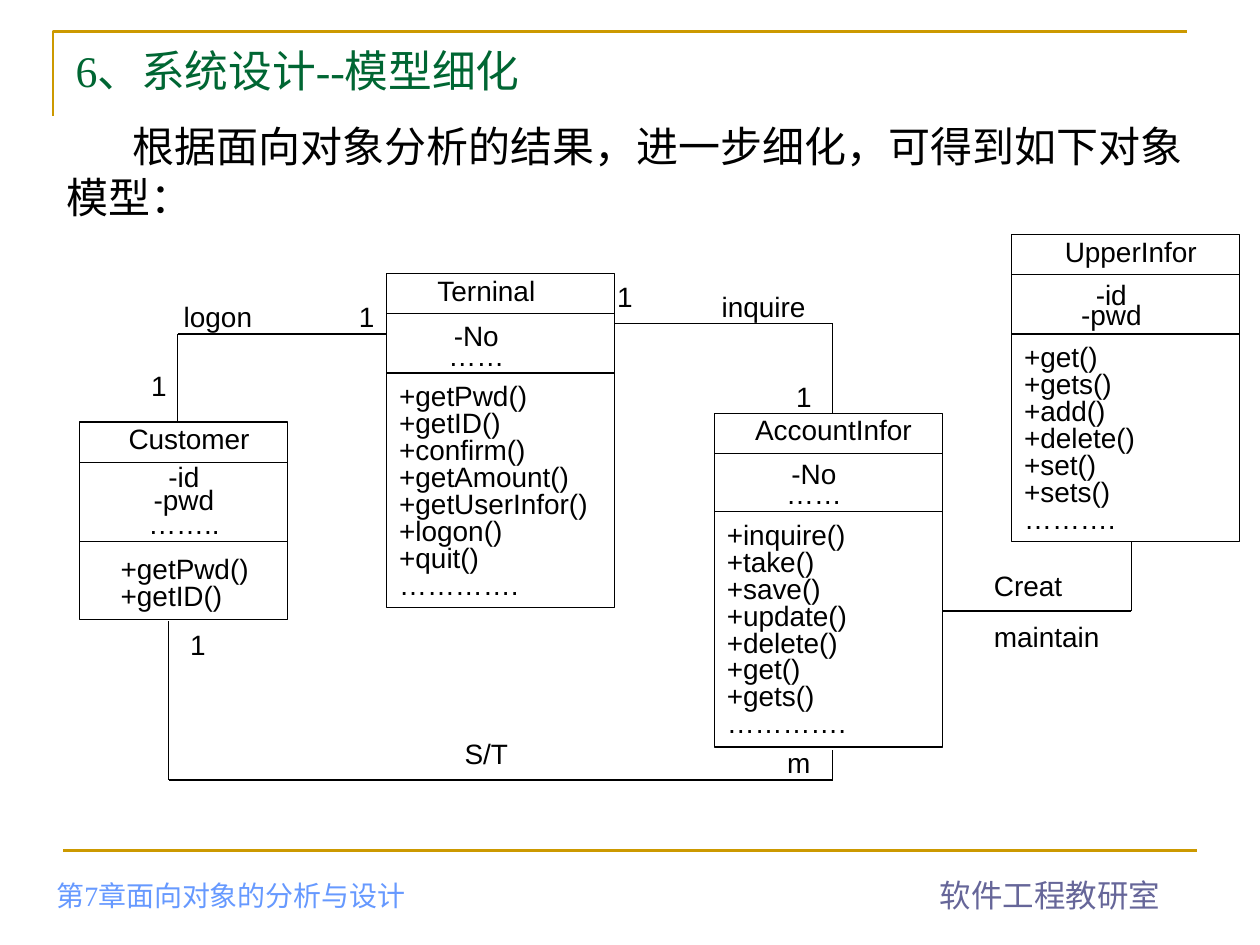
"""Builds the slide that refines the object model of the banking system."""
from itertools import pairwise

from lxml.etree import SubElement
from pptx import Presentation
from pptx.dml.color import RGBColor
from pptx.enum.shapes import MSO_CONNECTOR as Connector, MSO_SHAPE as Shape
from pptx.enum.text import MSO_ANCHOR as Anchor, PP_ALIGN as Align
from pptx.oxml.ns import qn
from pptx.util import Inches, Pt

GOLD = RGBColor(0xCC, 0x99, 0x00)
GREEN = RGBColor(0x00, 0x66, 0x33)
BLACK = RGBColor(0x00, 0x00, 0x00)
PURPLE = RGBColor(0x66, 0x66, 0x99)
BLUE = RGBColor(0x66, 0x99, 0xFF)
SERIF, SANS = "Times New Roman", "Arial"

TITLE = "6、系统设计--模型细化"
INTRO = "根据面向对象分析的结果，进一步细化，可得到如下对象模型："
DEPARTMENT = "软件工程教研室"
CHAPTER = "第7章面向对象的分析与设计"

HEADER_HEIGHT = 0.32
CLASSES = [
    dict(name="Customer", frame=(0.63, 3.35, 1.65, 1.57), divider=4.3,
         name_box=(0.79, 1.42), attribute_box=(0.79, 3.67, 1.34), spacing=0.7,
         method_box=(0.86, 4.38, 1.34),
         attributes=["-id", "-pwd", "…….."],
         methods=["+getPwd()", "+getID()"]),
    dict(name="UpperInfor", frame=(8.03, 1.86, 1.81, 2.44), divider=2.65,
         name_box=(8.11, 1.73), attribute_box=(8.11, 2.25, 1.42), spacing=0.6,
         method_box=(8.03, 2.7, 1.97),
         attributes=["-id", "-pwd"],
         methods=["+get()", "+gets()", "+add()", "+delete()", "+set()",
                  "+sets()", "………."]),
    dict(name="Terninal", frame=(3.07, 2.17, 1.81, 2.65), divider=2.96,
         name_box=(3.15, 1.42), attribute_box=(3.07, 2.57, 1.42), spacing=0.6,
         method_box=(3.07, 3.01, 1.97),
         attributes=["-No", "……"],
         methods=["+getPwd()", "+getID()", "+confirm()", "+getAmount()",
                  "+getUserInfor()", "+logon()", "+quit()", "…………."]),
    dict(name="AccountInfor", frame=(5.67, 3.28, 1.81, 2.65), divider=4.06,
         name_box=(5.75, 1.73), attribute_box=(5.75, 3.67, 1.42), spacing=0.6,
         method_box=(5.67, 4.11, 1.97),
         attributes=["-No", "……"],
         methods=["+inquire()", "+take()", "+save()", "+update()",
                  "+delete()", "+get()", "+gets()", "…………."]),
]

ASSOCIATIONS = [
    [(1.41, 3.35), (1.41, 2.65), (3.07, 2.65)],
    [(4.88, 2.57), (6.61, 2.57), (6.61, 3.28)],
    [(8.98, 4.3), (8.98, 4.85), (7.48, 4.85)],
    [(1.34, 4.93), (1.34, 6.19), (6.61, 6.19), (6.61, 5.95)],
]

LABELS = [
    (["1"], (0.55, 2.88, 0.87, 0.37), Align.RIGHT),
    (["1"], (2.2, 2.33, 0.87, 0.37), Align.RIGHT),
    (["logon"], (1.1, 2.33, 1.26, 0.37), Align.CENTER),
    (["inquire"], (5.43, 2.25, 1.26, 0.37), Align.CENTER),
    (["1"], (4.8, 2.17, 0.87, 0.37), Align.LEFT),
    (["1"], (6.22, 2.96, 0.87, 0.37), Align.LEFT),
    (["S/T"], (3.23, 5.8, 1.26, 0.37), Align.CENTER),
    (["1"], (1.1, 4.93, 0.63, 0.37), Align.RIGHT),
    (["m"], (5.9, 5.87, 0.63, 0.37), Align.RIGHT),
    (["Creat", "maintain"], (7.79, 4.46, 1.1, 0.77), Align.LEFT),
]


def style(para, size, color, font):
    para.font.size = Pt(size)
    para.font.color.rgb = color
    para.font.name = font


def add_text(page, lines, area, align=Align.LEFT, size=16, color=BLACK,
             font=SANS, spacing=None, gap=0, wrap=True):
    box = page.shapes.add_textbox(*map(Inches, area))
    frame = box.text_frame
    frame.word_wrap = wrap
    frame.text = "\n".join(lines)
    for index, para in enumerate(frame.paragraphs):
        para.alignment = align
        para.line_spacing = spacing
        para.space_before = Pt(gap if index else 0)
        style(para, size, color, font)
    return box


def add_line(page, start, end, color=BLACK, width=0.75):
    line = page.shapes.add_connector(
        Connector.STRAIGHT, *map(Inches, (*start, *end)))
    line.line.color.rgb = color
    line.line.width = Pt(width)
    SubElement(line._element.spPr, qn("a:effectLst"))


def outline(shape, color, width):
    shape.fill.background()
    shape.line.color.rgb = color
    shape.line.width = Pt(width)
    shape.shadow.inherit = False


def add_class(page, item):
    left, top, width, height = item["frame"]
    divider = item["divider"]
    name_left, name_width = item["name_box"]
    add_text(page, [item["name"]], (name_left, top, name_width, HEADER_HEIGHT),
             Align.CENTER, spacing=0.8)
    outline(page.shapes.add_shape(Shape.RECTANGLE, *map(Inches, item["frame"])),
            BLACK, 0.75)
    for y in (top + HEADER_HEIGHT, divider):
        add_line(page, (left, y), (left + width, y))
    x, y, span = item["method_box"]
    add_text(page, item["methods"], (x, y, span, top + height - y), spacing=0.8)
    x, y, span = item["attribute_box"]
    add_text(page, item["attributes"], (x, y, span, divider + 0.02 - y),
             Align.CENTER, spacing=item["spacing"])


def add_template(page):
    builder = page.shapes.build_freeform(Inches(0.42), Inches(0.92))
    builder.add_line_segments(
        [(Inches(0.42), Inches(0.25)), (Inches(9.42), Inches(0.25))], close=False)
    outline(builder.convert_to_shape(), GOLD, 1.5)
    add_line(page, (0.5, 6.75), (9.5, 6.75), GOLD, 1.5)
    add_text(page, [DEPARTMENT], (7.36, 6.9, 1.95, 0.4), size=18, color=PURPLE,
             wrap=False)
    chapter = add_text(page, [CHAPTER], (0.35, 6.98, 4.1, 0.31), color=BLUE,
                       font=SERIF)
    chapter.text_frame.vertical_anchor = Anchor.BOTTOM


def add_heading(page):
    title = page.shapes.title
    title.left, title.top, title.width, title.height = map(
        Inches, (0.5, 0.3, 9, 0.87))
    title.text_frame.text = TITLE
    title.text_frame.vertical_anchor = Anchor.TOP
    para = title.text_frame.paragraphs[0]
    para.alignment = Align.LEFT
    style(para, 25, GREEN, SERIF)
    intro = add_text(page, [INTRO], (0.43, 0.91, 9.14, 0.9), size=24)
    intro.text_frame.paragraphs[0]._p.get_or_add_pPr().set(
        "indent", str(Inches(0.52)))


def main():
    deck = Presentation()
    deck.slide_width, deck.slide_height = Inches(10), Inches(7.5)
    page = deck.slides.add_slide(deck.slide_layouts[5])
    add_template(page)
    add_heading(page)
    for item in CLASSES:
        add_class(page, item)
    for route in ASSOCIATIONS:
        for start, end in pairwise(route):
            add_line(page, start, end)
    for lines, area, align in LABELS:
        add_text(page, lines, area, align, gap=10)
    deck.save("out.pptx")


if __name__ == "__main__":
    main()
